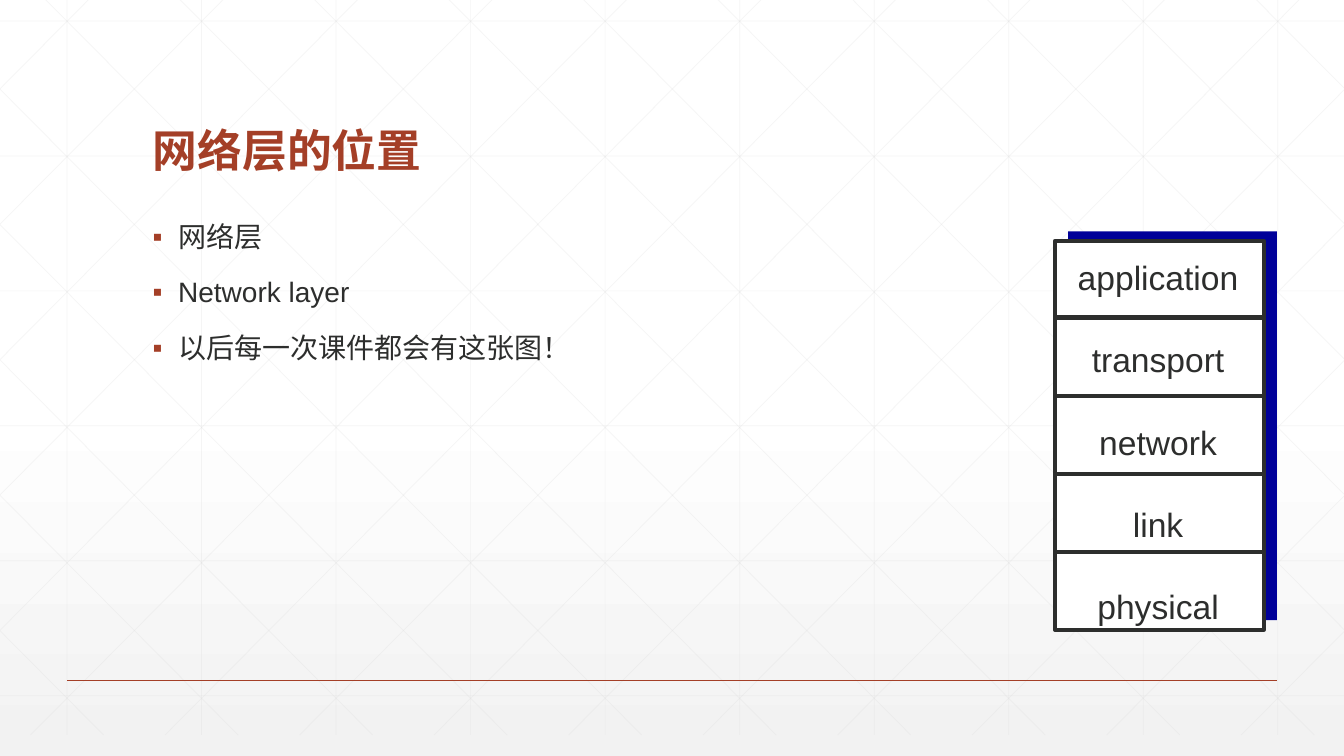
"""Build the slide that places the network layer in the protocol stack."""
from copy import deepcopy
from dataclasses import dataclass

from lxml.etree import SubElement
from pptx import Presentation
from pptx.dml.color import RGBColor
from pptx.enum.shapes import MSO_CONNECTOR, MSO_SHAPE
from pptx.enum.text import MSO_ANCHOR, MSO_AUTO_SIZE, PP_ALIGN
from pptx.oxml.ns import qn
from pptx.slide import Slide
from pptx.text.text import TextFrame, _Paragraph
from pptx.util import Cm, Pt


@dataclass(frozen=True)
class Theme:
    """Colours, font and type sizes."""

    accent: str = "A43F27"
    ink: str = "2D2E2D"
    paper: str = "FFFFFF"
    haze: str = "F2F2F2"
    grid: str = "D9D9D9"
    backing: str = "000099"
    font: str = "Arial"
    title_size: float = 32
    body_size: float = 20
    layer_size: float = 24


@dataclass(frozen=True)
class Box:
    """A rectangle in centimetres."""

    left: float
    top: float
    width: float
    height: float

    def emu(self) -> tuple[Cm, Cm, Cm, Cm]:
        """Return the four measures as lengths."""
        return Cm(self.left), Cm(self.top), Cm(self.width), Cm(self.height)


@dataclass(frozen=True)
class Line:
    """A straight line in centimetres."""

    x1: float
    y1: float
    x2: float
    y2: float
    color: str
    weight: float
    opacity: int = 100


THEME = Theme()
SLIDE_WIDTH, SLIDE_HEIGHT = 33.87, 19.05
GRID_TOP, GRID_BOTTOM = -0.53, 18.52
GRID_STEP_X, GRID_STEP_Y = 3.39, 3.4
DIAGONAL_RUN = 18.93
TITLE_BOX = Box(3.6, 1.4, 26.67, 3.18)
BODY_BOX = Box(3.6, 5.5, 12.52, 10.6)
BACKING_BOX = Box(26.92, 5.83, 5.26, 9.8)
STACK_BOX = Box(26.59, 6.07, 5.26, 9.8)
LAYER_BOX = Box(26.9, 6.35, 4.57, 9.37)
FIRST_DIVIDER, LAYER_PITCH = 8.0, 1.97
POINTS = ("网络层", "Network layer", "以后每一次课件都会有这张图！")
LAYERS = ("application", "transport", "network", "link", "physical")


def paint_background(slide: Slide) -> None:
    """Fade the background from white to light grey."""
    fill = slide.background.fill
    fill.gradient()
    fill.gradient_angle = 270
    first_stop = slide.element.find(f".//{qn('a:gs')}")
    first_stop.addnext(deepcopy(first_stop))
    colors = (THEME.paper, THEME.paper, THEME.haze)
    for stop, position, color in zip(fill.gradient_stops, (0, 0.53, 1), colors):
        stop.position = position
        stop.color.rgb = RGBColor.from_string(color)


def draw_line(slide: Slide, line: Line) -> None:
    """Draw one straight line."""
    connector = slide.shapes.add_connector(
        MSO_CONNECTOR.STRAIGHT, Cm(line.x1), Cm(line.y1), Cm(line.x2), Cm(line.y2)
    )
    connector.line.width = Pt(line.weight)
    connector.line.color.rgb = RGBColor.from_string(line.color)
    properties = connector.element.spPr
    if line.opacity < 100:
        color = properties.find(f".//{qn('a:srgbClr')}")
        SubElement(color, qn("a:alpha")).set("val", str(line.opacity * 1000))
    SubElement(properties, qn("a:effectLst"))


def grid_line(x1: float, y1: float, x2: float, y2: float) -> Line:
    """Return a faint line of the background grid."""
    return Line(x1, y1, x2, y2, THEME.grid, 0.5, 25)


def diagonal(top_x: float, direction: int) -> Line:
    """Return a grid diagonal cut at the sides of the slide."""
    run = direction * DIAGONAL_RUN
    slope = (GRID_BOTTOM - GRID_TOP) / run
    start, end = (min(max(x, 0), SLIDE_WIDTH) for x in (top_x, top_x + run))
    start_y, end_y = (GRID_TOP + (x - top_x) * slope for x in (start, end))
    return grid_line(start, start_y, end, end_y)


def grid_lines() -> list[Line]:
    """Return the whole background grid."""
    columns = [1.69 + GRID_STEP_X * index for index in range(10)]
    rows = [0.53 + GRID_STEP_Y * index for index in range(6)]
    return [
        *(grid_line(x, GRID_TOP, x, GRID_BOTTOM) for x in columns),
        *(grid_line(0, y, SLIDE_WIDTH, y) for y in rows),
        *(diagonal(0.63 + GRID_STEP_X * index, 1) for index in range(-5, 10)),
        *(diagonal(2.75 + GRID_STEP_X * index, -1) for index in range(15)),
    ]


def draw_rectangle(slide: Slide, box: Box, fill: str, outline: str | None = None) -> None:
    """Draw a filled rectangle with an optional outline."""
    shape = slide.shapes.add_shape(MSO_SHAPE.RECTANGLE, *box.emu())
    shape.shadow.inherit = False
    shape.fill.solid()
    shape.fill.fore_color.rgb = RGBColor.from_string(fill)
    if outline:
        shape.line.color.rgb = RGBColor.from_string(outline)
        shape.line.width = Pt(3)
    else:
        shape.line.fill.background()


def add_text(slide: Slide, box: Box, texts: tuple[str, ...], size: float,
             color: str, bold: bool = False) -> TextFrame:
    """Add a text box with one paragraph for each text."""
    frame = slide.shapes.add_textbox(*box.emu()).text_frame
    frame.word_wrap = True
    for index, text in enumerate(texts):
        paragraph = frame.add_paragraph() if index else frame.paragraphs[0]
        run = paragraph.add_run()
        run.text = text
        run.font.name = THEME.font
        run.font.size = Pt(size)
        run.font.bold = bold
        run.font.color.rgb = RGBColor.from_string(color)
    return frame


def add_bullet(paragraph: _Paragraph) -> None:
    """Give a paragraph a hanging square bullet."""
    properties = paragraph._p.get_or_add_pPr()
    properties.set("marL", str(Cm(0.64)))
    properties.set("indent", str(-Cm(0.64)))
    bullet_color = SubElement(properties, qn("a:buClr"))
    SubElement(bullet_color, qn("a:srgbClr")).set("val", THEME.accent)
    SubElement(properties, qn("a:buFont")).set("typeface", THEME.font)
    SubElement(properties, qn("a:buChar")).set("char", "▪")


def draw_text(slide: Slide) -> None:
    """Write the title and the bulleted points."""
    title = add_text(slide, TITLE_BOX, ("网络层的位置",), THEME.title_size, THEME.accent, True)
    title.vertical_anchor = MSO_ANCHOR.BOTTOM
    title.paragraphs[0].line_spacing = 0.9
    for paragraph in add_text(slide, BODY_BOX, POINTS, THEME.body_size, THEME.ink).paragraphs:
        paragraph.line_spacing = 0.9
        paragraph.space_before = Pt(18)
        add_bullet(paragraph)


def draw_stack(slide: Slide) -> None:
    """Draw the five-layer protocol stack."""
    draw_rectangle(slide, BACKING_BOX, THEME.backing)
    draw_rectangle(slide, STACK_BOX, THEME.paper, THEME.ink)
    frame = add_text(slide, LAYER_BOX, LAYERS, THEME.layer_size, THEME.ink)
    frame.word_wrap = False
    frame.auto_size = MSO_AUTO_SIZE.SHAPE_TO_FIT_TEXT
    for index, paragraph in enumerate(frame.paragraphs):
        paragraph.alignment = PP_ALIGN.CENTER
        paragraph.space_before = Pt(30 if index else 0)
    right = STACK_BOX.left + STACK_BOX.width
    for index in range(len(LAYERS) - 1):
        y = FIRST_DIVIDER + LAYER_PITCH * index
        draw_line(slide, Line(STACK_BOX.left, y, right, y, THEME.ink, 3))


def main() -> None:
    """Build and save the presentation."""
    presentation = Presentation()
    presentation.slide_width, presentation.slide_height = Cm(SLIDE_WIDTH), Cm(SLIDE_HEIGHT)
    slide = presentation.slides.add_slide(presentation.slide_layouts[6])
    paint_background(slide)
    for line in (*grid_lines(), Line(1.69, 17.15, 32.18, 17.15, THEME.accent, 1)):
        draw_line(slide, line)
    draw_text(slide)
    draw_stack(slide)
    presentation.save("out.pptx")


if __name__ == "__main__":
    main()
